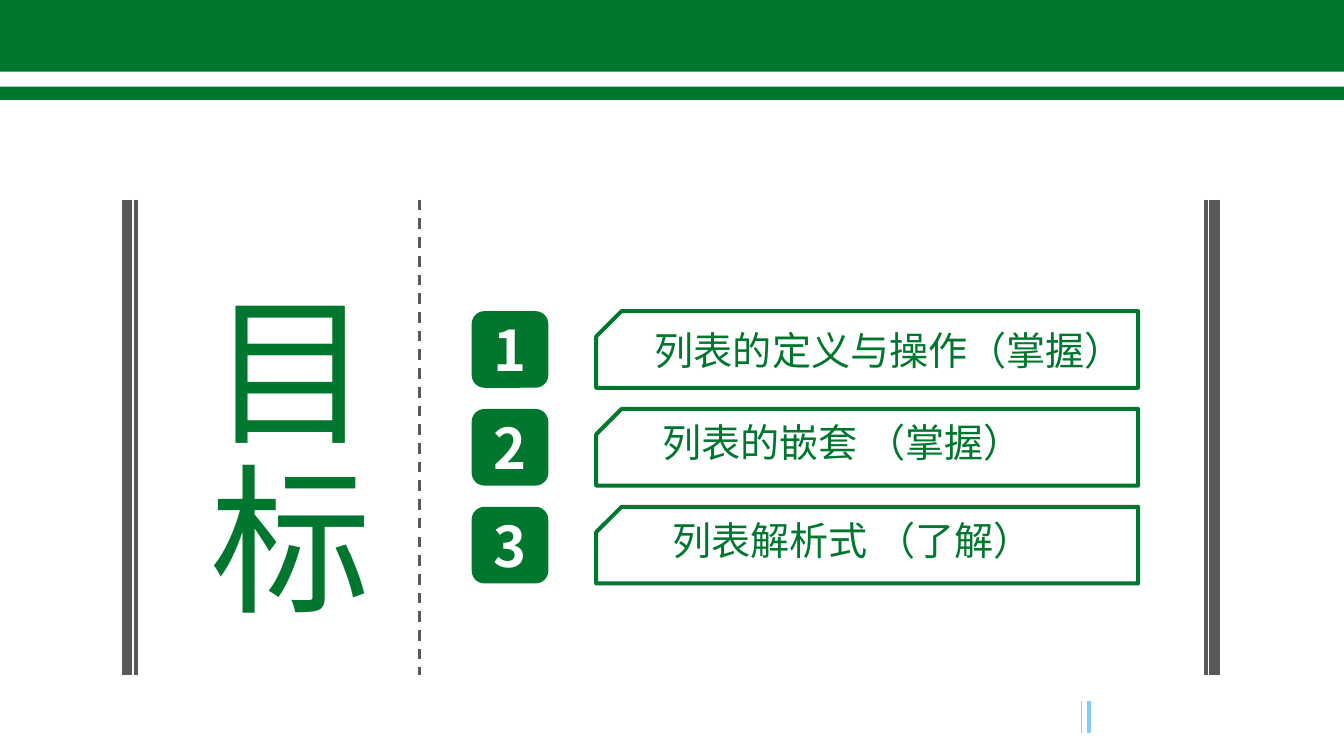
from dataclasses import dataclass

from pptx import Presentation
from pptx import util as u
from pptx.dml.color import RGBColor
from pptx.enum import dml, shapes, text
from pptx.oxml import ns
from lxml import etree

Kind = shapes.MSO_SHAPE
Align = text.PP_ALIGN
Anchor = text.MSO_ANCHOR


@dataclass(frozen=True)
class Theme:
    green: str = "00762F"
    white: str = "FFFFFF"
    gray: str = "595959"
    blue: str = "7DCDFF"
    gold: str = "FFC000"
    font: str = "Noto Sans CJK SC"
    title: float = 90.5
    digit: float = 31.5
    label: float = 22


class Board:
    def __init__(self, slide, theme):
        self.slide = slide
        self.theme = theme

    def shape(self, kind, x, y, w, h, fill=None, line=None):
        item = self.slide.shapes.add_shape(kind, u.Cm(x), u.Cm(y), u.Cm(w), u.Cm(h))
        item.shadow.inherit = False
        if fill:
            item.fill.solid()
            item.fill.fore_color.rgb = RGBColor.from_string(fill)
        else:
            item.fill.background()
        if line:
            item.line.color.rgb = RGBColor.from_string(line)
            item.line.width = u.Pt(2.25)
        else:
            item.line.fill.background()
        return item

    def words(self, item, copy, size, color, bold=False, align=Align.LEFT):
        frame = item.text_frame
        frame.vertical_anchor = Anchor.MIDDLE
        para = frame.paragraphs[0]
        para.alignment = align
        run = para.add_run()
        run.text = copy
        run.font.size = u.Pt(size)
        run.font.bold = bold
        run.font.color.rgb = RGBColor.from_string(color)
        run.font.name = self.theme.font
        east = etree.SubElement(run.font._element, ns.qn("a:ea"))
        east.set("typeface", self.theme.font)
        return run

    def box(self, x, y, w, h):
        item = self.slide.shapes.add_textbox(u.Cm(x), u.Cm(y), u.Cm(w), u.Cm(h))
        item.text_frame.word_wrap = True
        return item

    def label(self, copy, x, y, w, h):
        self.words(self.box(x, y, w, h), copy, self.theme.label, self.theme.green)

    def title(self, copy, x, y, w, h):
        item = self.box(x, y, w, h)
        run = self.words(item, copy, self.theme.title, self.theme.green)
        run.font._element.set("spc", "470")
        item.text_frame.vertical_anchor = Anchor.TOP
        item.text_frame._txBody.bodyPr.set("vert", "eaVert")

    def badge(self, copy, x, y, size):
        item = self.shape(Kind.ROUNDED_RECTANGLE, x, y, size, size, self.theme.green)
        frame = item.text_frame
        frame.margin_left = frame.margin_right = 0
        frame.margin_top = frame.margin_bottom = 0
        self.words(item, copy, self.theme.digit, self.theme.white, True, Align.CENTER)

    def frame(self, x, y, w, h):
        item = self.shape(Kind.SNIP_1_RECTANGLE, x, y, w, h, line=self.theme.green)
        item.adjustments[0] = 0.33
        item._element.spPr.find(ns.qn("a:xfrm")).set("flipH", "1")

    def rule(self, x, top, end, color, width, dash=None):
        item = self.slide.shapes.add_connector(
            shapes.MSO_CONNECTOR.STRAIGHT, u.Cm(x), u.Cm(top), u.Cm(x), u.Cm(end))
        item.line.color.rgb = RGBColor.from_string(color)
        item.line.width = u.Pt(width)
        if dash:
            item.line.dash_style = dash
        etree.SubElement(item._element.spPr, ns.qn("a:effectLst"))


def main():
    deck = Presentation()
    wide = 26.64
    deck.slide_width, deck.slide_height = u.Cm(wide), u.Cm(14.99)
    theme = Theme()
    board = Board(deck.slides.add_slide(deck.slide_layouts[6]), theme)

    board.rule(21.59, 13.89, 14.53, theme.blue, 2.25)
    board.rule(21.44, 13.89, 14.53, theme.gold, 0.5)
    board.shape(Kind.RECTANGLE, 0, 0, wide, 1.98, theme.green)
    board.shape(Kind.RECTANGLE, 0, 1.42, wide, 0.3, theme.white)

    for x, width in ((2.52, 6), (2.69, 2.25), (24.08, 6), (23.9, 2.25)):
        board.rule(x, 3.96, 13.38, theme.gray, width)
    board.rule(8.32, 3.96, 13.38, theme.gray, 1.5, dml.MSO_LINE.DASH)
    board.title("目标", 3.33, 5.49, 4.37, 7.44)

    goals = (
        ("列表的定义与操作（掌握）", 12.73, 0.18),
        ("列表的嵌套 （掌握）", 12.88, 0.05),
        ("列表解析式 （了解）", 13.08, 0.05),
    )
    for i, (copy, x, drop) in enumerate(goals):
        y = 6.17 + i * 1.94
        board.badge(str(i + 1), 9.35, y, 1.52)
        board.label(copy, x, y + drop, 10.3, 1.19)
        board.frame(11.82, y, 10.74, 1.52)

    deck.save("out.pptx")


if __name__ == "__main__":
    main()
